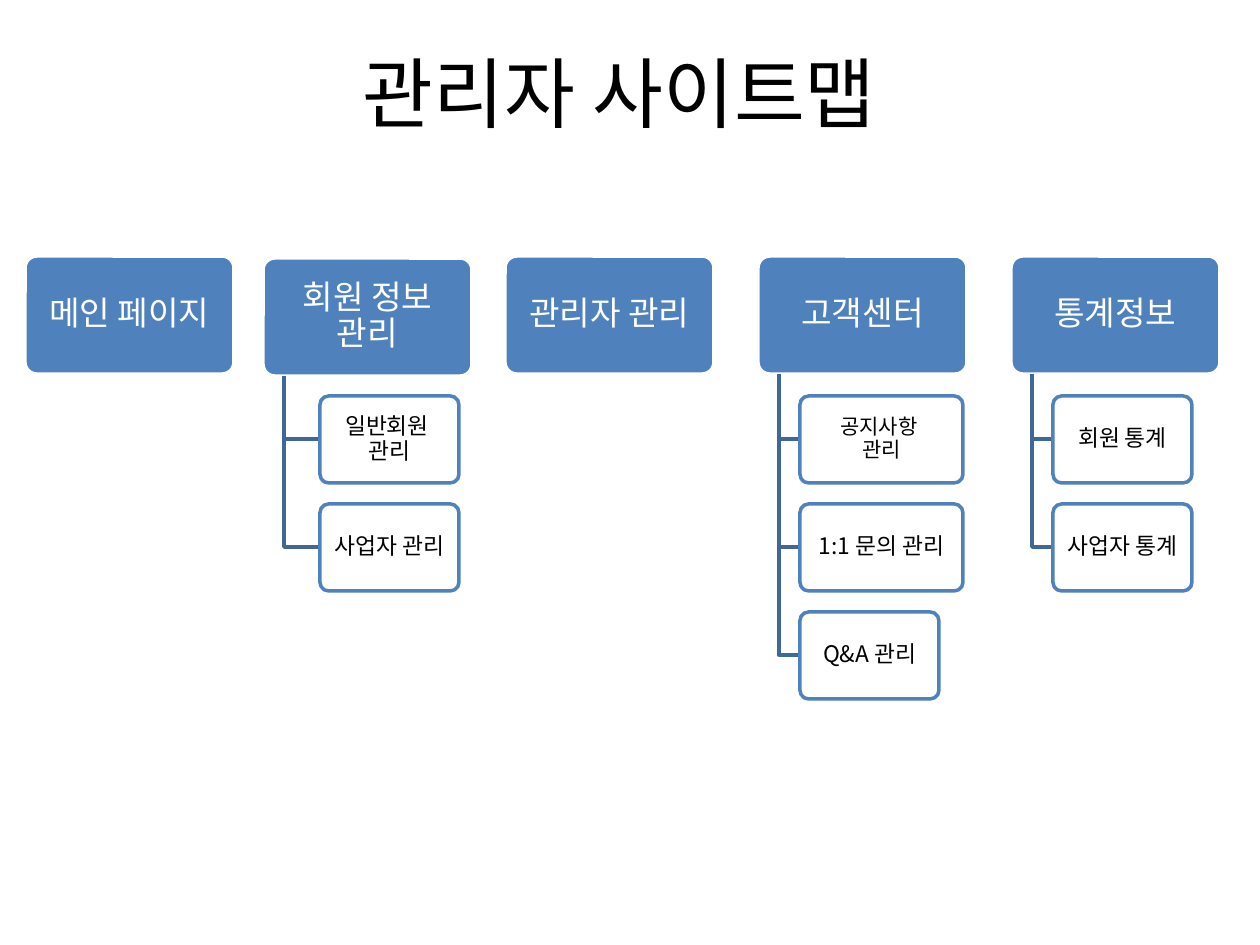
from copy import deepcopy

from lxml import etree
from pptx import Presentation
from pptx.dml.color import RGBColor
from pptx.enum.shapes import MSO_SHAPE
from pptx.enum.text import MSO_ANCHOR, PP_ALIGN
from pptx.oxml.ns import qn
from pptx.util import Pt

ROUNDED = MSO_SHAPE.ROUNDED_RECTANGLE
MIDDLE = MSO_ANCHOR.MIDDLE
CENTER = PP_ALIGN.CENTER

PX = 914400 // 126
FONT = "Noto Sans CJK KR"
COLORS = {"blue": "4F81BD", "connector": "3F6797", "white": "FFFFFF", "black": "000000"}

HEAD_WIDTH, HEAD_HEIGHT = 209, 118
CHILD_WIDTH, WIDE_CHILD_WIDTH, CHILD_HEIGHT = 139, 163, 87
CHILD_TOP, CHILD_PITCH = 396, 108
TRUNK_INDENT = 21

# Each section: left, top, child indent, heading, children (text, width, font size)
SECTIONS = [
    (25, 256, 42, "메인 페이지", []),
    (263, 258, 57, "회원 정보 관리", [
        ("일반회원 \v관리", CHILD_WIDTH, 13),
        ("사업자 관리", CHILD_WIDTH, 13),
    ]),
    (505, 256, 42, "관리자 관리", []),
    (758, 256, 42, "고객센터", [
        ("공지사항 \v관리", WIDE_CHILD_WIDTH, 12),
        ("1:1 문의 관리", WIDE_CHILD_WIDTH, 13),
        ("Q&A 관리", CHILD_WIDTH, 13),
    ]),
    (1011, 256, 42, "통계정보", [
        ("회원 통계", CHILD_WIDTH, 13),
        ("사업자 통계", CHILD_WIDTH, 13),
    ]),
]


def rgb(name):
    return RGBColor.from_string(COLORS[name])


def write_text(shape, text, size, color):
    frame = shape.text_frame
    frame.word_wrap = True
    frame.vertical_anchor = MIDDLE
    frame.text = text
    paragraph = frame.paragraphs[0]
    paragraph.alignment = CENTER
    for run in paragraph.runs:
        run.font.size = Pt(size)
        run.font.name = FONT
        run.font.color.rgb = rgb(color)
        properties = run.font._element
        east_asian = etree.SubElement(properties, qn("a:ea"))
        east_asian.set("typeface", FONT)
        # Line breaks need the run format too, or they enlarge the line
        for line_break in paragraph._p.findall(qn("a:br")):
            if len(line_break) == 0:
                line_break.append(deepcopy(properties))
    return paragraph


def add_box(slide, box, text, size, colors, insets):
    """Add a rounded box; colors are names for fill, line and text."""
    fill, line, text_color = colors
    shape = slide.shapes.add_shape(ROUNDED, *(value * PX for value in box))
    shape.adjustments[0] = 0.1
    shape.shadow.inherit = False
    shape.fill.solid()
    shape.fill.fore_color.rgb = rgb(fill)
    shape.line.color.rgb = rgb(line)
    shape.line.width = Pt(2)
    frame = shape.text_frame
    frame.margin_left = frame.margin_right = insets[0] * PX
    frame.margin_top = frame.margin_bottom = insets[1] * PX
    write_text(shape, text, size, text_color).line_spacing = 0.9


def add_elbow(slide, left, top, right, bottom):
    builder = slide.shapes.build_freeform(left, top, scale=PX)
    builder.add_line_segments([(left, bottom), (right, bottom)], close=False)
    elbow = builder.convert_to_shape()
    elbow.shadow.inherit = False
    elbow.fill.background()
    elbow.line.color.rgb = rgb("connector")
    elbow.line.width = Pt(2)


def add_section(slide, left, top, indent, heading, children):
    add_box(slide, (left, top, HEAD_WIDTH, HEAD_HEIGHT), heading, 19,
            ("blue", "white", "white"), (9, 7))
    child_left = left + indent
    for index, (text, width, size) in enumerate(children):
        child_top = CHILD_TOP + index * CHILD_PITCH
        add_elbow(slide, left + TRUNK_INDENT, top + HEAD_HEIGHT,
                  child_left, child_top + CHILD_HEIGHT // 2)
        add_box(slide, (child_left, child_top, width, CHILD_HEIGHT), text, size,
                ("white", "blue", "black"), (6, 5))


def add_title(slide, left, top, width, height):
    title = slide.shapes.title
    title.left, title.top = left * PX, top * PX
    title.width, title.height = width * PX, height * PX
    write_text(title, "관리자 사이트맵", 44, "black")


def main():
    presentation = Presentation()
    presentation.slide_width, presentation.slide_height = 1260 * PX, 945 * PX
    slide = presentation.slides.add_slide(presentation.slide_layouts[5])
    add_title(slide, 84, 37, 1071, 110)
    for section in SECTIONS:
        add_section(slide, *section)
    presentation.save("out.pptx")


if __name__ == "__main__":
    main()
